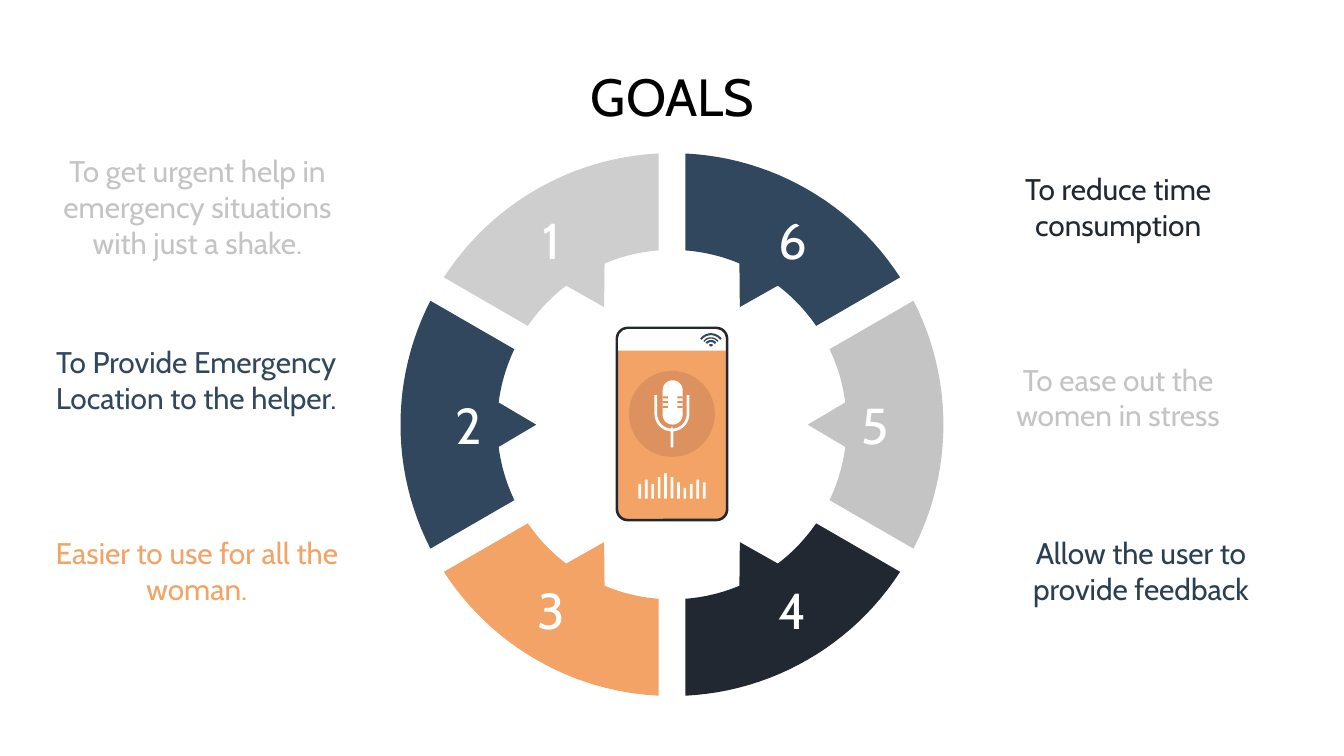
"""Build the GOALS slide: a ring of six numbered segments around a phone."""
from dataclasses import dataclass
from math import asin, cos, degrees, radians, sin

from pptx import Presentation
from pptx.dml.color import RGBColor
from pptx.enum.shapes import MSO_SHAPE
from pptx.enum.text import MSO_ANCHOR, MSO_AUTO_SIZE, PP_ALIGN
from pptx.util import Inches, Pt

RECT = MSO_SHAPE.RECTANGLE
ROUND = MSO_SHAPE.ROUNDED_RECTANGLE
ROUND_TOP = MSO_SHAPE.ROUND_2_SAME_RECTANGLE
OVAL = MSO_SHAPE.OVAL
MIDDLE = MSO_ANCHOR.MIDDLE
CENTER = PP_ALIGN.CENTER
NO_FIT = MSO_AUTO_SIZE.NONE

FONT = "Cabin"
COLORS = {
    "black": "000000", "white": "FFFFFF", "silver": "CECECE", "grey": "C4C4C4",
    "navy": "30475E", "slate": "2A3F51", "ink": "222831",
    "orange": "F2A365", "copper": "DD915E",
}
CX, CY = 5.0, 3.16
OUTER, INNER, TIP = 2.02, 1.3, 1.01
HALF_GAP = 0.1
POINTER_HALF_ANGLE = 7.3
BAR_HEIGHTS = [0.11, 0.14, 0.11, 0.16, 0.19, 0.16, 0.12, 0.08, 0.11, 0.14, 0.12]
WIFI_BANDS = [(0.1, 0.085), (0.07, 0.06), (0.05, 0.035), (0.02, 0)]

Point = tuple[float, float]


@dataclass
class Goal:
    """One goal: its ring segment and its caption."""
    text: str
    fill: str
    color: str
    left: float
    top: float
    width: float


GOALS = [
    Goal("To get urgent help in emergency situations with just a shake.",
         "silver", "grey", 0.27, 1.3, 2.4),
    Goal("To Provide Emergency Location to the helper.",
         "navy", "navy", 0.27, 2.59, 2.38),
    Goal("Easier to use for all the woman.", "orange", "orange", 0.27, 4.01, 2.39),
    Goal("Allow the user to provide feedback", "ink", "slate", 7.29, 4.01, 2.4),
    Goal("To ease out the women in stress", "grey", "grey", 7.34, 2.72, 1.96),
    Goal("To reduce time consumption", "navy", "ink", 7.34, 1.3, 1.96),
]


def rgb(name: str) -> RGBColor:
    """Look up a named colour."""
    return RGBColor.from_string(COLORS[name])


def write(s, text: str, *, size: float, color: str) -> None:
    """Put centred, formatted text into a shape."""
    tf = s.text_frame
    tf.word_wrap = True
    tf.auto_size = NO_FIT
    tf.vertical_anchor = MIDDLE
    tf.margin_left = tf.margin_right = Inches(0.1)
    tf.margin_top = tf.margin_bottom = Inches(0.1)
    p = tf.paragraphs[0]
    p.alignment = CENTER
    r = p.add_run()
    r.text = text
    r.font.name = FONT
    r.font.size = Pt(size)
    r.font.color.rgb = rgb(color)


def paint(s, fill: str):
    """Give a shape a plain fill without line or shadow."""
    s.shadow.inherit = False
    s.fill.solid()
    s.fill.fore_color.rgb = rgb(fill)
    s.line.fill.background()
    return s


def add_preset(shapes, kind, left: float, top: float, width: float,
               height: float, fill: str, radius: float = 0):
    """Add a filled preset shape, with a corner radius if given."""
    s = shapes.add_shape(kind, Inches(left), Inches(top), Inches(width), Inches(height))
    if radius:
        s.adjustments[0] = radius / min(width, height)
    return paint(s, fill)


def add_polygon(shapes, points: list[Point], fill: str):
    """Add a filled closed outline."""
    start, *rest = [(Inches(x), Inches(y)) for x, y in points]
    builder = shapes.build_freeform(*start, scale=1.0)
    builder.add_line_segments(rest, close=True)
    return paint(builder.convert_to_shape(), fill)


def arc(cx: float, cy: float, radius: float, start: float, end: float) -> list[Point]:
    """Return points along an arc, with angles counterclockwise from the right."""
    steps = 24
    angles = [radians(start + (end - start) * i / steps) for i in range(steps + 1)]
    return [(cx + radius * cos(a), cy - radius * sin(a)) for a in angles]


def add_segment(shapes, number: int, fill: str) -> None:
    """Add a numbered ring segment whose pointer faces the centre."""
    mid = 60 + 60 * number
    out = 30 - degrees(asin(HALF_GAP / OUTER))
    inn = 30 - degrees(asin(HALF_GAP / INNER))
    points = (arc(CX, CY, OUTER, mid - out, mid + out)
              + arc(CX, CY, INNER, mid + inn, mid + POINTER_HALF_ANGLE)
              + arc(CX, CY, TIP, mid, mid)[:1]
              + arc(CX, CY, INNER, mid - POINTER_HALF_ANGLE, mid - inn))
    write(add_polygon(shapes, points, fill), str(number), size=27, color="white")


def add_microphone(shapes) -> None:
    """Add the microphone on its disc."""
    add_preset(shapes, OVAL, 4.68, 2.76, 0.64, 0.64, "copper")
    add_preset(shapes, ROUND, 4.93, 2.83, 0.15, 0.33, "white", radius=0.075)
    for row in range(3):
        for left in (4.93, 5.04):
            add_preset(shapes, RECT, left, 2.95 + 0.035 * row, 0.04, 0.015, "copper")
    top, bend = 2.94, 3.08
    cradle = ([(CX - 0.13, top)] + arc(CX, bend, 0.13, 180, 360)
              + [(CX + 0.13, top), (CX + 0.11, top)]
              + arc(CX, bend, 0.11, 360, 180) + [(CX - 0.11, top)])
    add_polygon(shapes, cradle, "white")
    add_preset(shapes, ROUND, 4.99, 3.18, 0.02, 0.15, "white", radius=0.01)


def add_phone(shapes) -> None:
    """Add the phone with its status bar, microphone and sound bars."""
    body = add_preset(shapes, ROUND, 4.59, 2.44, 0.82, 1.43, "orange", radius=0.08)
    add_preset(shapes, ROUND_TOP, 4.6, 2.45, 0.8, 0.16, "white", radius=0.07)
    body.line.color.rgb = rgb("ink")
    body.line.width = Pt(1.4)
    add_microphone(shapes)
    for i, height in enumerate(BAR_HEIGHTS):
        add_preset(shapes, RECT, 4.75 + 0.048 * i, 3.71 - height, 0.02, height, "white")
    for outer, inner in WIFI_BANDS:
        band = arc(5.29, 2.58, outer, 37, 143) + arc(5.29, 2.58, inner, 143, 37)
        add_polygon(shapes, band, "navy")


def main() -> None:
    """Build and save the slide."""
    prs = Presentation()
    prs.slide_width = Inches(10)
    prs.slide_height = prs.slide_width * 9 // 16
    shapes = prs.slides.add_slide(prs.slide_layouts[5]).shapes
    title = shapes.title
    title.left, title.top = Inches(0.78), Inches(0.45)
    title.width, title.height = Inches(8.45), Inches(0.53)
    write(title, "GOALS", size=28, color="black")
    for number, goal in enumerate(GOALS, start=1):
        add_segment(shapes, number, goal.fill)
        caption = shapes.add_textbox(Inches(goal.left), Inches(goal.top),
                                     Inches(goal.width), Inches(0.47))
        write(caption, goal.text, size=16, color=goal.color)
    add_phone(shapes)
    prs.save("out.pptx")


if __name__ == "__main__":
    main()
